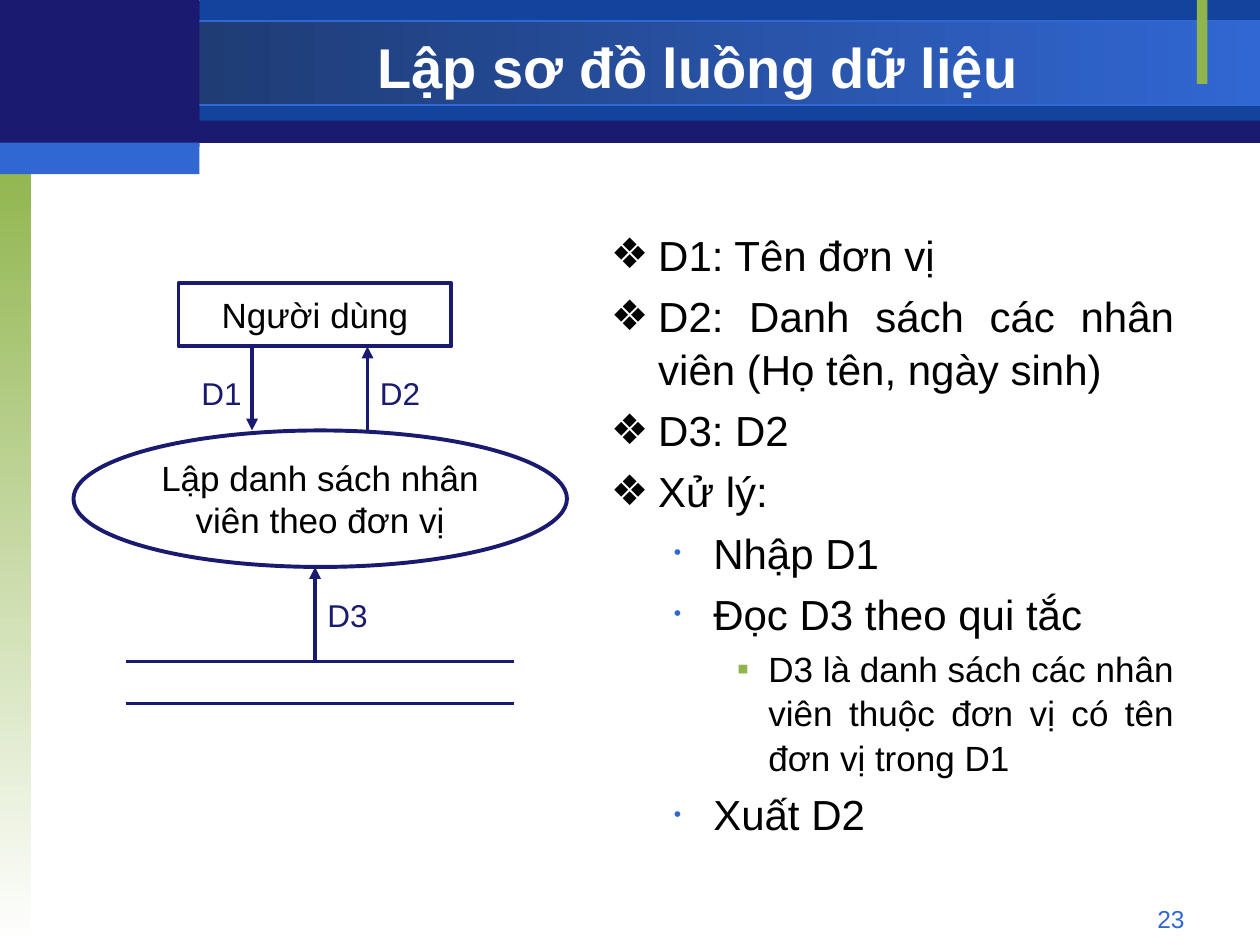
from lxml.etree import SubElement
from pptx import Presentation
from pptx.dml.color import RGBColor
from pptx.enum.shapes import MSO_CONNECTOR as Link, MSO_SHAPE as Kind
from pptx.enum.text import MSO_ANCHOR as Anchor, PP_ALIGN as Align
from pptx.oxml.ns import qn
from pptx.util import Pt

NAVY = RGBColor(0x1A, 0x1A, 0x70)
ROYAL = RGBColor(0x12, 0x44, 0x9E)
DEEP = RGBColor(0x1B, 0x34, 0x63)
BLUE = RGBColor(0x31, 0x67, 0xD3)
GREEN = RGBColor(0x90, 0xB5, 0x4D)
WHITE = RGBColor(0xFF, 0xFF, 0xFF)
BLACK = RGBColor(0, 0, 0)

# Per level: indent, hang, size, bullet, bullet colour, bullet scale in %
LEVELS = [
    (27, 27, 24, "❖", BLACK, 100),
    (58.5, 22.5, 24, "•", BLUE, 50),
    (90, 18, 20, "▪", GREEN, 100),
]
ITEMS = [
    (0, "D1: Tên đơn vị"),
    (0, "D2: Danh sách các nhân viên (Họ tên, ngày sinh)"),
    (0, "D3: D2"),
    (0, "Xử lý:"),
    (1, "Nhập D1"),
    (1, "Đọc D3 theo qui tắc"),
    (2, "D3 là danh sách các nhân viên thuộc đơn vị có tên đơn vị trong D1"),
    (1, "Xuất D2"),
]


def write(para, text, size=20, color=BLACK, bold=False, align=Align.LEFT):
    para.alignment = align
    run = para.add_run()
    run.text = text
    font = run.font
    font.name, font.size, font.bold = "Arial", Pt(size), bold
    font.color.rgb = color


def add_text(slide, x, y, w, h, anchor=Anchor.TOP):
    """Add an empty wrapping text box and return its frame."""
    frame = slide.shapes.add_textbox(Pt(x), Pt(y), Pt(w), Pt(h)).text_frame
    frame.word_wrap = True
    frame.vertical_anchor = anchor
    return frame


def add_form(slide, x, y, w, h, kind=Kind.RECTANGLE, fill=None, line=None, width=2.25):
    """Add a shape; fill is None, a colour, or (first, last, angle)."""
    form = slide.shapes.add_shape(kind, Pt(x), Pt(y), Pt(w), Pt(h))
    form.shadow.inherit = False
    if fill is None:
        form.fill.background()
    elif isinstance(fill, RGBColor):
        form.fill.solid()
        form.fill.fore_color.rgb = fill
    else:
        form.fill.gradient()
        form.fill.gradient_angle = fill[2]
        for stop, color in zip(form.fill.gradient_stops, fill):
            stop.color.rgb = color
    if line is None:
        form.line.fill.background()
    else:
        form.line.color.rgb = line
        form.line.width = Pt(width)
    return form


def add_line(slide, x1, y1, x2, y2, arrow=False):
    line = slide.shapes.add_connector(Link.STRAIGHT, Pt(x1), Pt(y1), Pt(x2), Pt(y2))
    line.line.color.rgb = NAVY
    line.line.width = Pt(2.25)
    if arrow:
        SubElement(line.line._get_or_add_ln(), qn("a:tailEnd"), type="triangle")
    SubElement(line._element.spPr, qn("a:effectLst"))


def add_bullet(para, indent, hang, char, color, scale):
    props = para._p.get_or_add_pPr()
    props.set("marL", str(Pt(indent)))
    props.set("indent", str(-Pt(hang)))
    tint = SubElement(props, qn("a:buClr"))
    SubElement(tint, qn("a:srgbClr"), val=str(color))
    SubElement(props, qn("a:buSzPct"), val=str(scale * 1000))
    SubElement(props, qn("a:buFont"), typeface="Arial")
    SubElement(props, qn("a:buChar"), char=char)


def draw_frame(slide, x, y, w, h):
    """Draw the header bands and the green side strip."""
    side = 114
    add_form(slide, x, y + 0.75, w, 81, fill=NAVY)
    add_form(slide, x + side, y, w - side, 69, fill=ROYAL)
    add_form(slide, x, y + 12, w, 48, fill=(DEEP, BLUE, 0), line=BLUE, width=0.75)
    add_form(slide, x, y + 90, 18, h - 90, fill=(GREEN, WHITE, 270))
    add_form(slide, x + w - 36, y, 6, 48, fill=GREEN)
    add_form(slide, x, y, side, 84, fill=NAVY)
    add_form(slide, x, y + 81.5, side, 18, fill=BLUE)


def draw_title(slide, x, y, w, h):
    frame = add_text(slide, x, y, w, h, Anchor.MIDDLE)
    write(frame.paragraphs[0], "Lập sơ đồ luồng dữ liệu", size=32, color=WHITE,
          bold=True, align=Align.CENTER)


def draw_list(slide, x, y, w, h):
    frame = add_text(slide, x, y, w, h)
    for i, (level, text) in enumerate(ITEMS):
        para = frame.add_paragraph() if i else frame.paragraphs[0]
        indent, hang, size, *mark = LEVELS[level]
        para.level = level
        para.line_spacing = 1.05
        para.space_before = Pt(size * 0.2 if i else 0)
        add_bullet(para, indent, hang, *mark)
        write(para, text, size=size, align=Align.JUSTIFY)


def draw_flow(slide, x, y, w, h):
    """Draw user, process and data store with the flows between them."""
    user, top, base, store = y + 36, y + 84, y + 162, y + h - 24
    nodes = [
        (Kind.OVAL, x, top, w, base - top, "Lập danh sách nhân viên theo đơn vị", True),
        (Kind.RECTANGLE, x + 60, y, 156, user - y, "Người dùng", False),
    ]
    for kind, left, head, wide, high, text, wrap in nodes:
        node = add_form(slide, left, head, wide, high, kind, line=NAVY)
        frame = node.text_frame
        frame.word_wrap = wrap
        frame.vertical_anchor = Anchor.MIDDLE
        write(frame.paragraphs[0], text, align=Align.CENTER)
    for left, start, end in [(102, user, top), (168, top, user), (138, store, base)]:
        add_line(slide, x + left, start, x + left, end, arrow=True)
    for level in (store, y + h):
        add_line(slide, x + 30, level, x + 252, level)
    for text, left, head in [("D1", 66, 48), ("D2", 168, 48), ("D3", 138, 175)]:
        frame = add_text(slide, x + left, y + head, 42, 29)
        write(frame.paragraphs[0], text, size=18, color=NAVY)


def draw_number(slide, x, y, w, h):
    frame = add_text(slide, x, y, w, h)
    write(frame.paragraphs[0], "23", size=14, color=BLUE, align=Align.RIGHT)


def main():
    deck = Presentation()
    deck.slide_width, deck.slide_height = Pt(720), Pt(540)
    slide = deck.slides.add_slide(deck.slide_layouts[6])
    draw_frame(slide, 0, 0, 720, 540)
    draw_number(slide, 516, 513, 168, 19.5)
    draw_title(slide, 114, 16.5, 570, 42)
    draw_list(slide, 342, 126, 336, 378)
    draw_flow(slide, 42, 162, 282, 240)
    deck.save("out.pptx")


if __name__ == "__main__":
    main()
